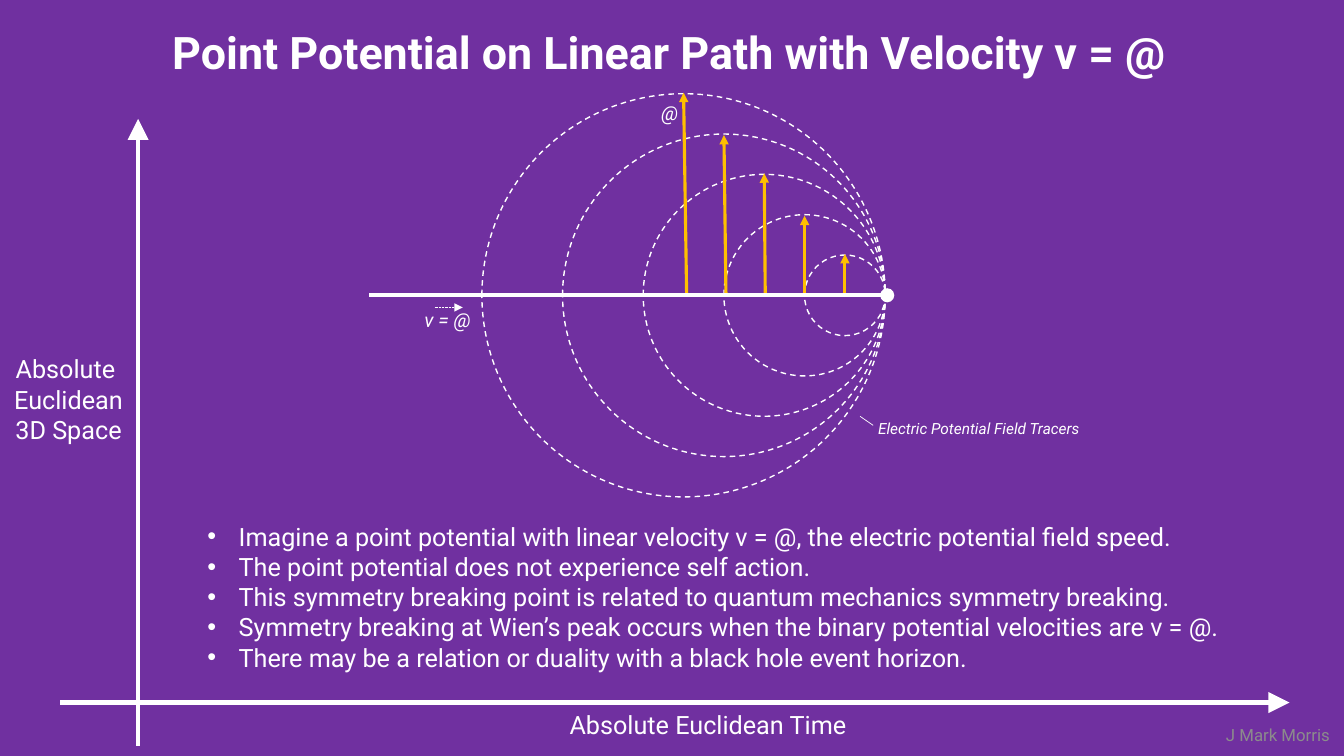
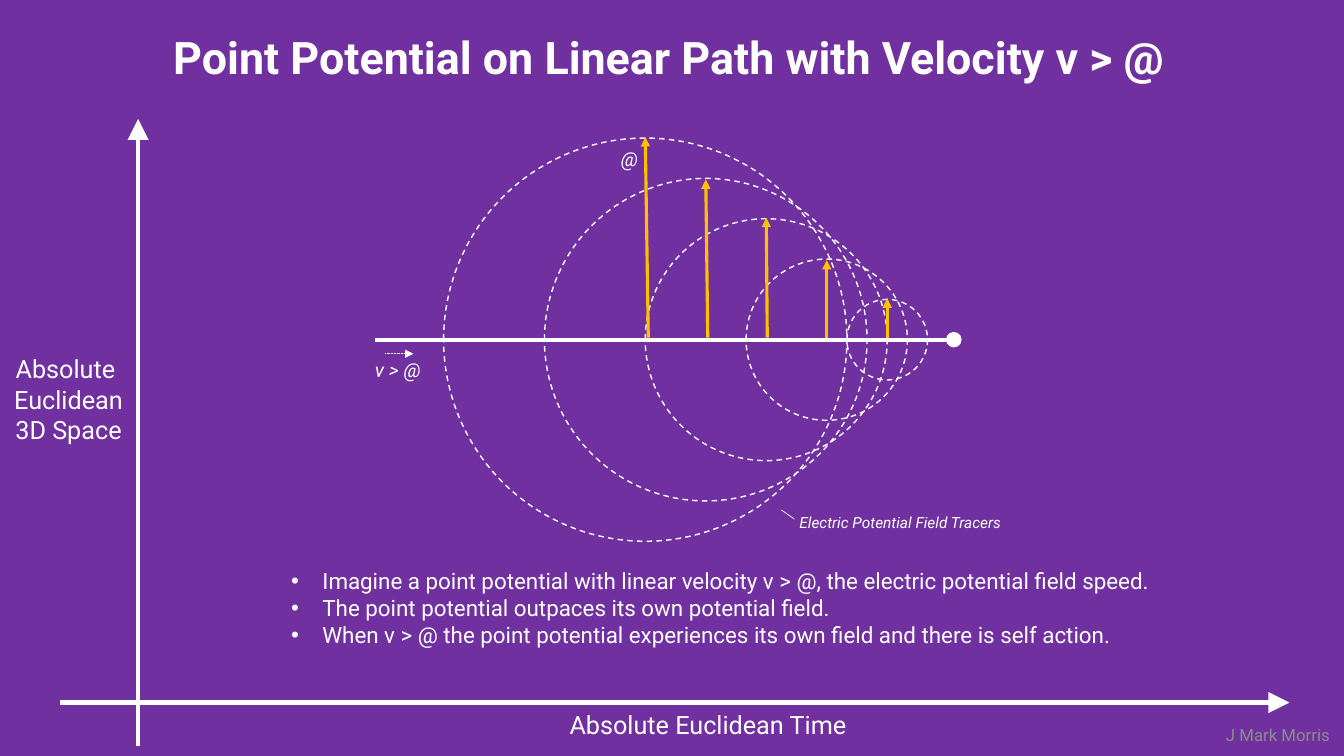
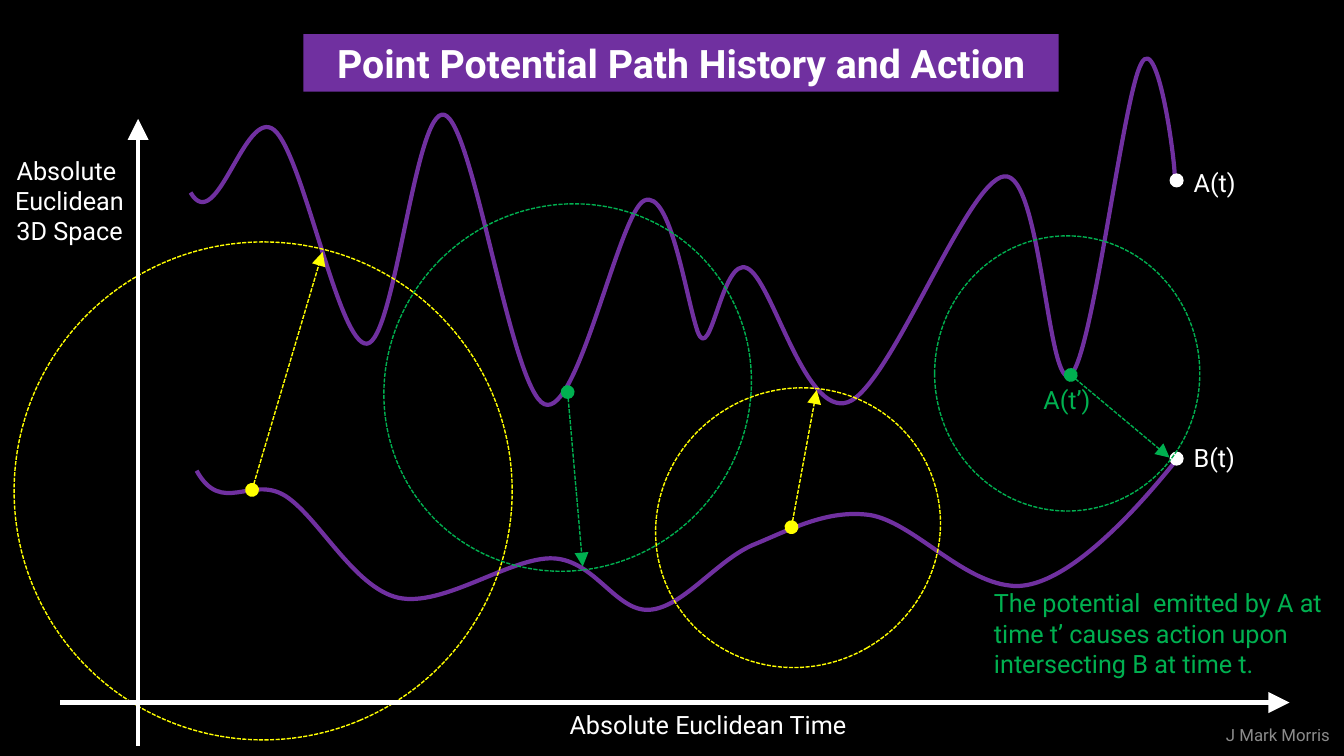
import pptx
import pptx.dml.color
import pptx.enum.dml
import pptx.enum.shapes
import pptx.enum.text
import pptx.oxml.ns
import pptx.util
from lxml import etree

Inches = pptx.util.Inches
RGBColor = pptx.dml.color.RGBColor
DASH = pptx.enum.dml.MSO_LINE
SHAPE = pptx.enum.shapes.MSO_SHAPE
STRAIGHT = pptx.enum.shapes.MSO_CONNECTOR.STRAIGHT
PP_ALIGN = pptx.enum.text.PP_ALIGN
AUTO_SIZE = pptx.enum.text.MSO_AUTO_SIZE
qn = pptx.oxml.ns.qn

PURPLE = RGBColor(0x70, 0x30, 0xA0)
BLACK = RGBColor(0, 0, 0)
WHITE = RGBColor(0xFF, 0xFF, 0xFF)
GREY = RGBColor(0x8C, 0x8C, 0x8C)
GOLD = RGBColor(0xFF, 0xC0, 0x00)
GREEN = RGBColor(0x00, 0xB0, 0x50)
YELLOW = RGBColor(0xFF, 0xFF, 0x00)
FONT = "Roboto"


def style(sp, color=None, width=1, dash=None, fill=None, head=None, tail=None, end_size="med"):
    """Set outline, fill and line ends of a shape or connector, without shadow."""
    if color is None:
        sp.line.fill.background()
    else:
        sp.line.color.rgb = color
        sp.line.width = pptx.util.Pt(width)
        if dash:
            sp.line.dash_style = dash
    if fill is not None:
        sp.fill.solid()
        sp.fill.fore_color.rgb = fill
    elif hasattr(sp, "fill"):
        sp.fill.background()
    ln = sp.line._get_or_add_ln()
    for tag, kind in (("a:headEnd", head), ("a:tailEnd", tail)):
        if kind:
            etree.SubElement(ln, qn(tag), type=kind, w=end_size, len=end_size)
    etree.SubElement(sp._element.spPr, qn("a:effectLst"))


def add_text(s, at, lines, size=18, color=WHITE, wrap=False, center=False, bullets=False,
             fill=None, **font):
    box = [Inches(v) for v in at]
    if fill is None:
        sp = s.shapes.add_textbox(*box)
    else:
        sp = s.shapes.add_shape(SHAPE.RECTANGLE, *box)
        style(sp, fill=fill)
    tf = sp.text_frame
    tf.word_wrap = wrap
    tf.auto_size = AUTO_SIZE.SHAPE_TO_FIT_TEXT
    for i, line in enumerate(lines):
        p = tf.paragraphs[0] if i == 0 else tf.add_paragraph()
        p.alignment = PP_ALIGN.CENTER if center else PP_ALIGN.LEFT
        if bullets:
            pPr = p._p.get_or_add_pPr()
            pPr.set("marL", str(Inches(0.31)))
            pPr.set("indent", str(-Inches(0.31)))
            etree.SubElement(pPr, qn("a:buFont"), typeface="Arial")
            etree.SubElement(pPr, qn("a:buChar"), char="•")
        r = p.add_run()
        r.text = line
        r.font.color.rgb = color
        for name, value in {"name": FONT, "size": pptx.util.Pt(size), **font}.items():
            setattr(r.font, name, value)
    return sp


prs = pptx.Presentation()
prs.slide_width, prs.slide_height = Inches(13.33), Inches(7.5)

# Background and footer on every slide
for background in (PURPLE, PURPLE, BLACK):
    s = prs.slides.add_slide(prs.slide_layouts[6])
    s.background.fill.solid()
    s.background.fill.fore_color.rgb = background
    footer = add_text(s, (12.05, 7.09, 1.25, 0.4), ["J Mark Morris"], 12, GREY, wrap=True, center=True)
    footer.text_frame.auto_size = AUTO_SIZE.NONE
    footer.text_frame.vertical_anchor = pptx.enum.text.MSO_ANCHOR.MIDDLE

# Slides 1 and 2: expanding field circles behind a moving point
velocity_slides = [
    dict(sign="=", title=(1.61, 0.2, 10.63, 0.64), first_x=6.78, step=0.4, y=2.93,
         path=(3.66, 8.81), point=8.8, velocity=(4.31, 3.05), velocity_label=(4.11, 3.01, 0.71, 0.34),
         field_label=(6.46, 0.95), tracer=(8.61, 4.11), notes=(1.96, 5.12, 10.5, 1.62), size=18,
         text=["Imagine a point potential with linear velocity v = @, the electric potential field speed.",
               "The point potential does not experience self action.",
               "This symmetry breaking point is related to quantum mechanics symmetry breaking.",
               "Symmetry breaking at Wien’s peak occurs when the binary potential velocities are v = @.",
               "There may be a relation or duality with a black hole event horizon."]),
    dict(sign=">", title=(1.62, 0.25, 10.86, 0.64), first_x=6.4, step=0.6, y=3.37,
         path=(3.72, 9.48), point=9.46, velocity=(3.82, 3.51), velocity_label=(3.62, 3.5, 0.68, 0.34),
         field_label=(6.06, 1.41), tracer=(7.83, 5.04), notes=(2.79, 5.58, 9.03, 1.18), size=16,
         text=["Imagine a point potential with linear velocity v > @, the electric potential field speed.",
               "The point potential outpaces its own potential field.",
               "When v > @ the point potential experiences its own field and there is self action."]),
]
RADII = (2, 1.6, 1.2, 0.8, 0.4)
LEANS = (0.03, 0.02, 0.01, 0, 0)
GAPS = (0.01, -0.01, 0.01, -0.01, 0.01)

for s, d in zip(prs.slides, velocity_slides):
    y = d["y"]
    add_text(s, d["notes"], d["text"], d["size"], wrap=True, bullets=True)
    centers = [d["first_x"] + i * d["step"] for i in range(len(RADII))]
    for x, radius in zip(centers, RADII):
        ring = s.shapes.add_shape(SHAPE.OVAL, *map(Inches, (x - radius, y - radius, 2 * radius, 2 * radius)))
        style(ring, WHITE, dash=DASH.DASH)
    for x, radius, lean, gap in zip(centers, RADII, LEANS, GAPS):
        arrow = s.shapes.add_connector(
            STRAIGHT, *map(Inches, (x + lean, y - 0.02, x, y - radius - gap)))
        style(arrow, GOLD, 2.25, tail="triangle")

    vx, vy = d["velocity"]
    tx, ty = d["tracer"]
    for ends, look in (
        ((d["path"][0], y, d["path"][1], y), dict(width=3)),
        ((vx, vy, vx + 0.28, vy), dict(width=0.5, dash=DASH.ROUND_DOT, tail="triangle")),
        ((tx - 0.08, ty + 0.02, tx + 0.05, ty + 0.11), dict(width=0.5)),
    ):
        style(s.shapes.add_connector(STRAIGHT, *map(Inches, ends)), WHITE, **look)
    point = s.shapes.add_shape(SHAPE.OVAL, *map(Inches, (d["point"] - 0.07, y - 0.07, 0.14, 0.14)))
    style(point, WHITE if d["sign"] == ">" else None, fill=WHITE)

    add_text(s, d["velocity_label"], [f"v {d['sign']} @"], 14, italic=True)
    add_text(s, (*d["field_label"], 0.36, 0.34), ["@"], 14, italic=True)
    add_text(s, (tx, ty, 2.59, 0.29), ["Electric Potential Field Tracers"], 11, wrap=True, italic=True)
    add_text(s, d["title"], [f"Point Potential on Linear Path with Velocity v {d['sign']} @"], 32, bold=True)

# Slide 3: two paths; each is a start point, then Bezier pieces (two controls, end)
s = prs.slides[2]
PATH_A = [
    (1.89, 1.91),
    (2.15, 2.36), (2.43, 1.05), (2.72, 1.29),
    (3.01, 1.54), (3.36, 3.43), (3.64, 3.41),
    (3.92, 3.38), (4.12, 1.04), (4.41, 1.14),
    (4.7, 1.24), (5.07, 3.87), (5.4, 4.01),
    (5.73, 4.15), (6.14, 2.11), (6.39, 1.99),
    (6.65, 1.87), (6.8, 2.94), (6.92, 3.29),
    (7.05, 3.64), (7.16, 2.54), (7.41, 2.66),
    (7.66, 2.77), (7.98, 4.14), (8.41, 3.99),
    (8.83, 3.84), (9.59, 1.79), (9.96, 1.75),
    (10.33, 1.7), (10.39, 3.91), (10.62, 3.72),
    (10.84, 3.53), (11.14, 0.95), (11.32, 0.63),
    (11.49, 0.3), (11.67, 1.7), (11.65, 1.77),
]
PATH_B = [
    (1.95, 4.67),
    (2.2, 5.12), (2.49, 4.71), (2.83, 4.92),
    (3.16, 5.13), (3.51, 5.83), (3.95, 5.93),
    (4.4, 6.03), (5.07, 5.52), (5.49, 5.54),
    (5.9, 5.56), (6.11, 6.07), (6.44, 6.05),
    (6.77, 6.03), (7.1, 5.57), (7.46, 5.41),
    (7.83, 5.26), (8.2, 5.05), (8.63, 5.11),
    (9.05, 5.18), (9.53, 5.76), (10.02, 5.81),
    (10.7, 5.9), (11.73, 4.46), (11.71, 4.52),
]
for knots in (PATH_A, PATH_B):
    knots = [(Inches(x), Inches(y)) for x, y in knots]
    builder = s.shapes.build_freeform(*knots[0])
    builder.add_line_segments(knots[3::3], close=False)
    curve = builder.convert_to_shape()
    # Turn each straight segment into a Bezier piece
    for i, segment in enumerate(list(curve._element.iter(qn("a:lnTo")))):
        segment.tag = qn("a:cubicBezTo")
        for child in list(segment):
            segment.remove(child)
        for x, y in knots[3 * i + 1:3 * i + 4]:
            etree.SubElement(segment, qn("a:pt"), x=str(x - curve.left), y=str(y - curve.top))
    style(curve, PURPLE, 3)

for top in (1.72, 4.48):
    dot = s.shapes.add_shape(SHAPE.OVAL, *map(Inches, (11.6, top, 0.14, 0.14)))
    style(dot, fill=WHITE)

for color, ends, circle, rotation in (
    (GREEN, (10.62, 3.72, 11.6, 4.54), (9.27, 2.34, 2.63, 2.73), 0),
    (YELLOW, (2.5, 4.86, 3.2, 2.5), (0.14, 2.4, 4.94, 4.94), 247),
    (GREEN, (5.63, 3.89, 5.78, 5.62), (3.84, 1.99, 3.58, 3.71), 45),
    (YELLOW, (7.85, 5.23, 8.1, 3.87), (6.54, 3.81, 2.75, 2.85), 240),
):
    action = s.shapes.add_connector(STRAIGHT, *map(Inches, ends))
    style(action, color, dash=DASH.SQUARE_DOT, head="oval", tail="triangle", end_size="lg")
    front = s.shapes.add_shape(SHAPE.OVAL, *map(Inches, circle))
    front.rotation = rotation
    style(front, color, dash=DASH.SQUARE_DOT)

for at, label, color in (
    ((11.74, 1.61, 1.02, 0.4), "A(t)", WHITE),
    ((11.74, 4.34, 0.76, 0.4), "B(t)", WHITE),
    ((9.76, 5.78, 3.48, 1.01),
     "The potential  emitted by A at time t’ causes action upon intersecting B at time t.", GREEN),
    ((10.25, 3.76, 0.71, 0.4), "A(t’)", GREEN),
):
    add_text(s, at, [label], color=color, wrap=True)
add_text(s, (3.01, 0.34, 7.49, 0.57), ["Point Potential Path History and Action"], 28,
         center=True, fill=PURPLE, bold=True)

# Axes and axis names in front on every slide
for s, space_label in zip(prs.slides, ((0.03, 3.46), (0.03, 3.46), (0.04, 1.49))):
    for ends in ((0.6, 6.97, 12.79, 6.97), (1.37, 7.4, 1.37, 1.18)):
        axis = s.shapes.add_connector(STRAIGHT, *map(Inches, ends))
        style(axis, WHITE, 3, tail="triangle", end_size="lg")
    add_text(s, (5.55, 6.99, 2.99, 0.4), ["Absolute Euclidean Time"])
    add_text(s, (*space_label, 1.3, 1.01), ["Absolute ", "Euclidean", "3D Space"], center=True)

prs.save("out.pptx")
